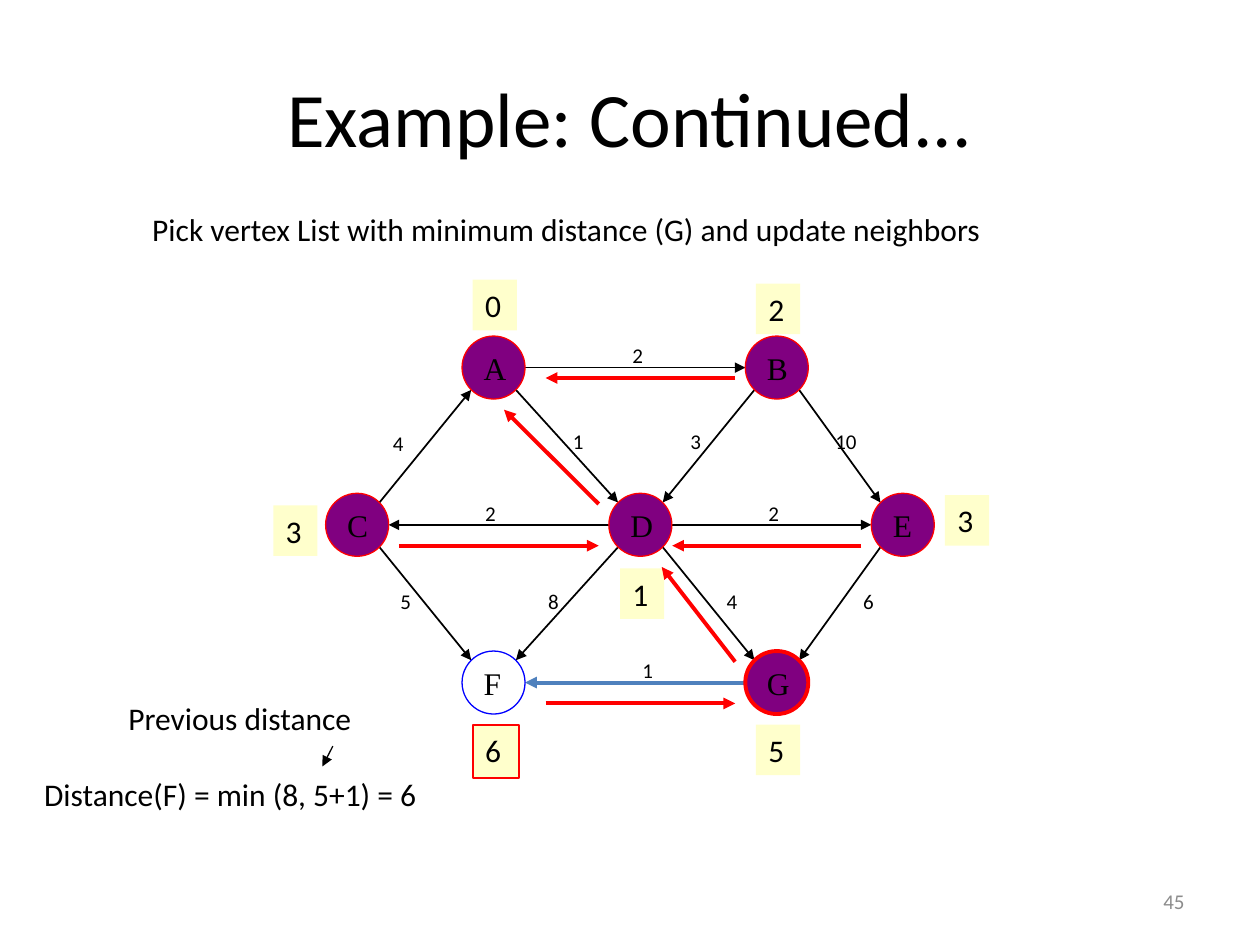
from lxml import etree
from pptx import Presentation
from pptx.dml.color import RGBColor
from pptx.enum.shapes import MSO_CONNECTOR, MSO_SHAPE
from pptx.enum.text import MSO_ANCHOR, MSO_AUTO_SIZE, PP_ALIGN
from pptx.oxml.ns import qn
from pptx.util import Cm, Pt

STRAIGHT = MSO_CONNECTOR.STRAIGHT
OVAL, RECTANGLE = MSO_SHAPE.OVAL, MSO_SHAPE.RECTANGLE
TOP, MIDDLE = MSO_ANCHOR.TOP, MSO_ANCHOR.MIDDLE
LEFT, CENTER, RIGHT = PP_ALIGN.LEFT, PP_ALIGN.CENTER, PP_ALIGN.RIGHT
GROW = MSO_AUTO_SIZE.SHAPE_TO_FIT_TEXT

BLACK = RGBColor(0x00, 0x00, 0x00)
GRAY = RGBColor(0x8C, 0x8C, 0x8C)
RED = RGBColor(0xFF, 0x00, 0x00)
BLUE = RGBColor(0x00, 0x00, 0xFF)
STEEL = RGBColor(0x4F, 0x81, 0xBD)
PURPLE = RGBColor(0x80, 0x00, 0x80)
CREAM = RGBColor(0xFF, 0xFF, 0xCC)

# All coordinates are in centimetres
RADIUS = 0.635
UPPER, CENTRE, LOWER = 7.41, 10.58, 13.76
VERTICES = {
    "A": (9.95, UPPER), "B": (15.66, UPPER),
    "C": (7.2, CENTRE), "D": (12.91, CENTRE), "E": (18.2, CENTRE),
    "F": (9.95, LOWER), "G": (15.66, LOWER),
}

# Start, end, weight, left and top of the weight label
EDGES = [
    ("A", "B", "2", 12.5, 6.78),
    ("C", "A", "4", 7.67, 8.56),
    ("A", "D", "1", 11.3, 8.51),
    ("B", "D", "3", 13.67, 8.51),
    ("B", "E", "10", 16.59, 8.51),
    ("D", "C", "2", 9.53, 9.96),
    ("D", "E", "2", 15.24, 9.96),
    ("C", "F", "5", 7.82, 11.73),
    ("D", "F", "8", 10.8, 11.73),
    ("D", "G", "4", 14.4, 11.73),
    ("E", "G", "6", 17.15, 11.73),
    ("G", "F", "1", 12.7, 13.13),
]

# Vertex, distance, left and top of the distance box
DISTANCES = [
    ("A", "0", 9.53, 5.64), ("B", "2", 15.24, 5.72),
    ("C", "3", 5.51, 10.19), ("D", "1", 12.5, 11.46),
    ("E", "3", 19.05, 9.98), ("F", "6", 9.53, 14.61),
    ("G", "5", 15.24, 14.61),
]

# Start and end of the arrows that lead back to the predecessor
BACK_ARROWS = [
    ((14.82, 7.62), (11, 7.62)),
    ((12.07, 10.16), (10.16, 8.26)),
    ((8.04, 11), (12.07, 11)),
    ((17.36, 11), (13.55, 11)),
    ((14.82, 13.34), (13.34, 11.43)),
    ((11, 14.18), (14.82, 14.18)),
]


def write(shape, text, size, color=BLACK, font="Calibri", align=LEFT,
          anchor=TOP, wrap=False, grow=True):
    frame = shape.text_frame
    frame.text = text
    frame.word_wrap = wrap
    frame.vertical_anchor = anchor
    if grow:
        frame.auto_size = GROW
    para = frame.paragraphs[0]
    para.alignment = align
    span = para.runs[0]
    span.font.size = Pt(size)
    span.font.name = font
    span.font.color.rgb = color


def add_text(page, box, text, size, **style):
    write(page.shapes.add_textbox(*map(Cm, box)), text, size, **style)


def add_figure(page, kind, box, fill, line, width):
    figure = page.shapes.add_shape(kind, *map(Cm, box))
    figure.shadow.inherit = False
    if fill is None:
        figure.fill.background()
    else:
        figure.fill.solid()
        figure.fill.fore_color.rgb = fill
    if line is None:
        figure.line.fill.background()
    else:
        figure.line.color.rgb = line
        figure.line.width = Pt(width)
    return figure


def add_arrow(page, start, end, color, width):
    arrow = page.shapes.add_connector(STRAIGHT, *map(Cm, start + end))
    arrow.line.color.rgb = color
    arrow.line.width = Pt(width)
    properties = arrow.element.spPr
    head = etree.SubElement(properties.find(qn("a:ln")), qn("a:tailEnd"))
    head.set("type", "triangle")
    etree.SubElement(properties, qn("a:effectLst"))


def rim_point(vertex, target):
    """Point on the vertex circle, at its side or its 45 degree corner."""
    (x, y), (target_x, target_y) = VERTICES[vertex], VERTICES[target]
    direction = 1 if target_x > x else -1
    if target_y == y:
        return x + direction * RADIUS, y
    offset = RADIUS * 0.71
    return x + direction * offset, y + (offset if target_y > y else -offset)


def add_edge(page, start, end, weight, left, top):
    color, width = (STEEL, 2.25) if start == "G" else (BLACK, 1)
    add_arrow(page, rim_point(start, end), rim_point(end, start), color, width)
    label_width = 0.76 if len(weight) == 1 else 1.02
    add_text(page, (left, top, label_width, 0.76), weight, 12, anchor=MIDDLE)


def add_vertex(page, name):
    x, y = VERTICES[name]
    fill, line = (None, BLUE) if name == "F" else (PURPLE, RED)
    box = (x - RADIUS, y - RADIUS, 2 * RADIUS, 2 * RADIUS)
    circle = add_figure(page, OVAL, box, fill, line,
                        2.25 if name == "G" else 0.75)
    write(circle, name, 18, font="Times New Roman", anchor=MIDDLE, grow=False)


def add_distance(page, vertex, distance, left, top):
    updated = vertex == "F"
    size = (0.94, 1.07) if updated else (0.89, 1.02)
    box = add_figure(page, RECTANGLE, (left, top) + size, CREAM,
                     RED if updated else None, 1.25)
    write(box, distance, 18)


def main():
    deck = Presentation()
    deck.slide_width, deck.slide_height = Cm(25.4), Cm(19.05)
    page = deck.slides.add_slide(deck.slide_layouts[6])

    # Title, instruction and slide number
    add_text(page, (1.27, 0.76, 22.86, 3.18), "Example: Continued...", 44,
             align=CENTER, anchor=MIDDLE, wrap=True, grow=False)
    add_text(page, (2.82, 4.11, 18.9, 1.02),
             "Pick vertex List with minimum distance (G) and update neighbors",
             18)
    add_text(page, (18.21, 17.65, 5.92, 1.02), "45", 12, color=GRAY,
             align=RIGHT, anchor=MIDDLE, wrap=True, grow=False)

    # Graph
    for edge in EDGES:
        add_edge(page, *edge)
    for name in VERTICES:
        add_vertex(page, name)
    for entry in DISTANCES:
        add_distance(page, *entry)
    for start, end in BACK_ARROWS:
        add_arrow(page, start, end, RED, 2.25)

    # Distance update
    add_text(page, (0.64, 15.49, 9.95, 1.02), "Distance(F) = min (8, 5+1) = 6",
             18, wrap=True)
    add_text(page, (2.34, 13.97, 5.72, 1.02), "Previous distance", 18,
             wrap=True)
    add_arrow(page, (6.71, 15.04), (6.5, 15.45), BLACK, 0.75)

    deck.save("out.pptx")


if __name__ == "__main__":
    main()
